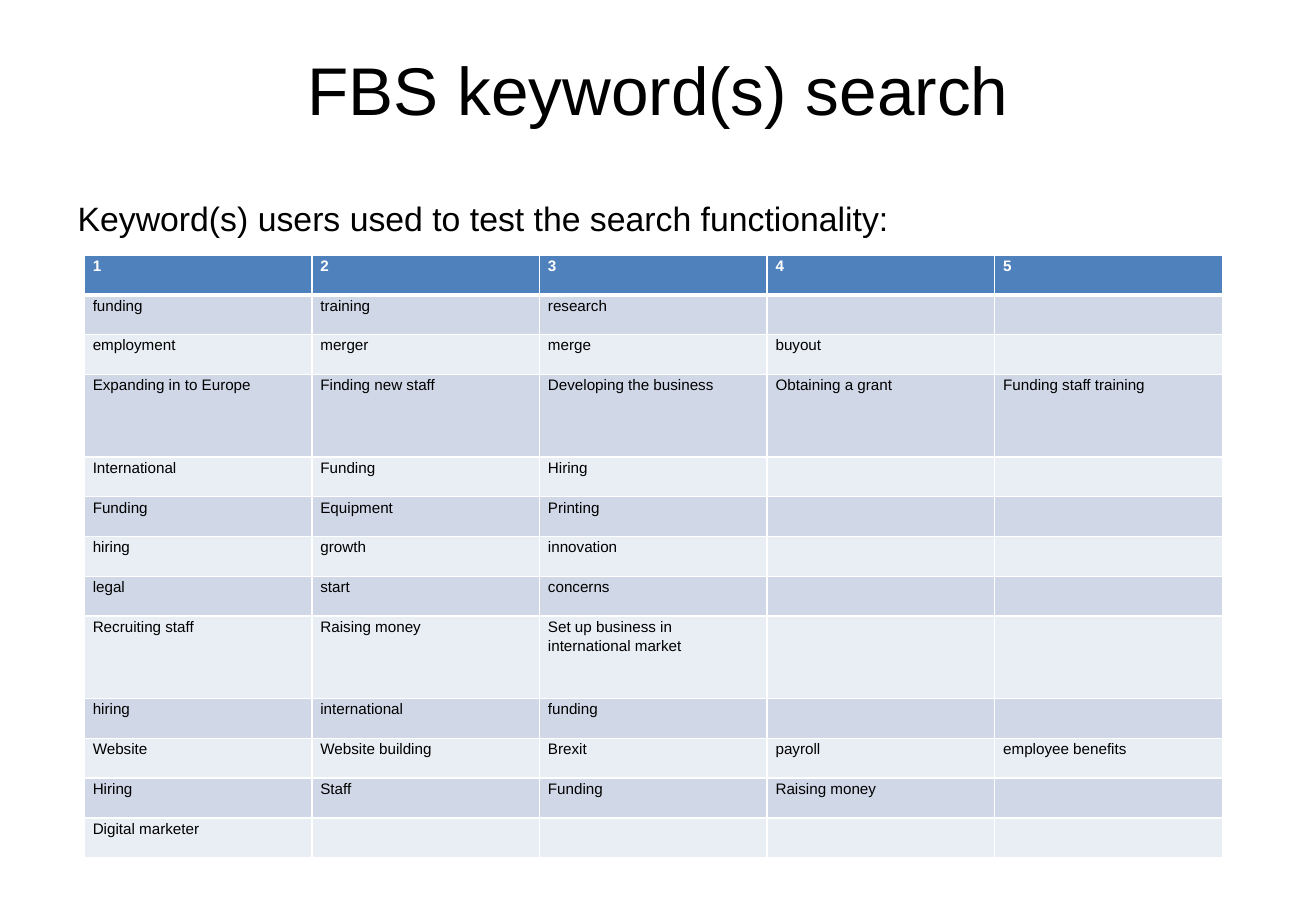
from dataclasses import dataclass

from lxml.etree import SubElement as Sub
from pptx import Presentation as Deck
from pptx.dml.color import RGBColor as RGB
from pptx.enum.text import MSO_ANCHOR as Anchor, PP_ALIGN as Align
from pptx.oxml.ns import qn
from pptx.util import Pt


@dataclass(frozen=True)
class Theme:
    face: str = "Arial"
    ink: str = "000000"
    white: str = "FFFFFF"
    head: str = "4F81BD"
    bands: tuple = ("D0D8E8", "E9EDF4")
    title: float = 40
    lead: float = 20
    cell: float = 9
    thin: float = 1
    thick: float = 3


look = Theme()

HEADS = ["1", "2", "3", "4", "5"]
ROWS = [
    ["funding", "training", "research"],
    ["employment", "merger", "merge", "buyout"],
    ["Expanding in to Europe", "Finding new staff", "Developing the business",
     "Obtaining a grant", "Funding staff training"],
    ["International", "Funding", "Hiring"],
    ["Funding", "Equipment", "Printing"],
    ["hiring", "growth", "innovation"],
    ["legal", "start", "concerns"],
    ["Recruiting staff", "Raising money", "Set up business in international market"],
    ["hiring", "international", "funding"],
    ["Website", "Website building", "Brexit", "payroll", "employee benefits"],
    ["Hiring", "Staff", "Funding", "Raising money"],
    ["Digital marketer"],
]
TALL = {3, 8}
LOW, HIGH = 23.6, 48.9


def apply(thing, form):
    for name, value in form.items():
        setattr(thing, name, value)


def write(para, text, size, color, bold=False, **form):
    apply(para, form)
    run = para.add_run()
    run.text = text
    apply(run.font, {"name": look.face, "size": Pt(size), "bold": bold})
    run.font.color.rgb = RGB.from_string(color)


def add_text(slide, box, text, size, align, pad):
    frame = slide.shapes.add_textbox(*map(Pt, box)).text_frame
    left, top = pad
    apply(frame, {"word_wrap": True, "vertical_anchor": Anchor.TOP,
                  "margin_left": Pt(left), "margin_right": Pt(left),
                  "margin_top": Pt(top)})
    write(frame.paragraphs[0], text, size, look.ink, alignment=align)


def edge(cell, widths):
    # Borders come before the fill in the cell properties
    props = cell._tc.get_or_add_tcPr()
    for side, width in zip("LRTB", widths):
        line = Sub(props, qn(f"a:ln{side}"), w=str(Pt(width)))
        Sub(Sub(line, qn("a:solidFill")), qn("a:srgbClr"), val=look.white)


def add_grid(slide, box):
    left, top, width, high = box
    lines = [HEADS] + ROWS
    grid = slide.shapes.add_table(len(lines), len(HEADS), *map(Pt, box)).table
    for col in grid.columns:
        col.width = Pt(width / len(HEADS))
    for r, words in enumerate(lines):
        grid.rows[r].height = Pt(HIGH if r in TALL else LOW)
        is_head = r == 0
        fill = look.head if is_head else look.bands[(r - 1) % 2]
        color = look.white if is_head else look.ink
        widths = (look.thin, look.thin,
                  look.thick if r == 1 else look.thin,
                  look.thick if is_head else look.thin)
        for c, cell in enumerate(grid.rows[r].cells):
            apply(cell, {"margin_left": Pt(5), "margin_right": Pt(5),
                         "margin_top": 0, "margin_bottom": 0})
            edge(cell, widths)
            cell.fill.solid()
            cell.fill.fore_color.rgb = RGB.from_string(fill)
            if c < len(words):
                write(cell.text_frame.paragraphs[0], words[c], look.cell,
                      color, is_head, line_spacing=1.15)


deck = Deck()
apply(deck, {"slide_width": Pt(780), "slide_height": Pt(540)})
slide = deck.slides.add_slide(deck.slide_layouts[6])

# Title
add_text(slide, (39, 21.6, 702, 90), "FBS keyword(s) search",
         look.title, Align.CENTER, (7.2, 6.8))
# Lead line
add_text(slide, (39, 111.6, 702, 406.8),
         "Keyword(s) users used to test the search functionality:",
         look.lead, Align.LEFT, (7, 5.4))
# Keyword table
add_grid(slide, (50, 151.2, 674.6, 11 * LOW + 2 * HIGH))

deck.save("out.pptx")
